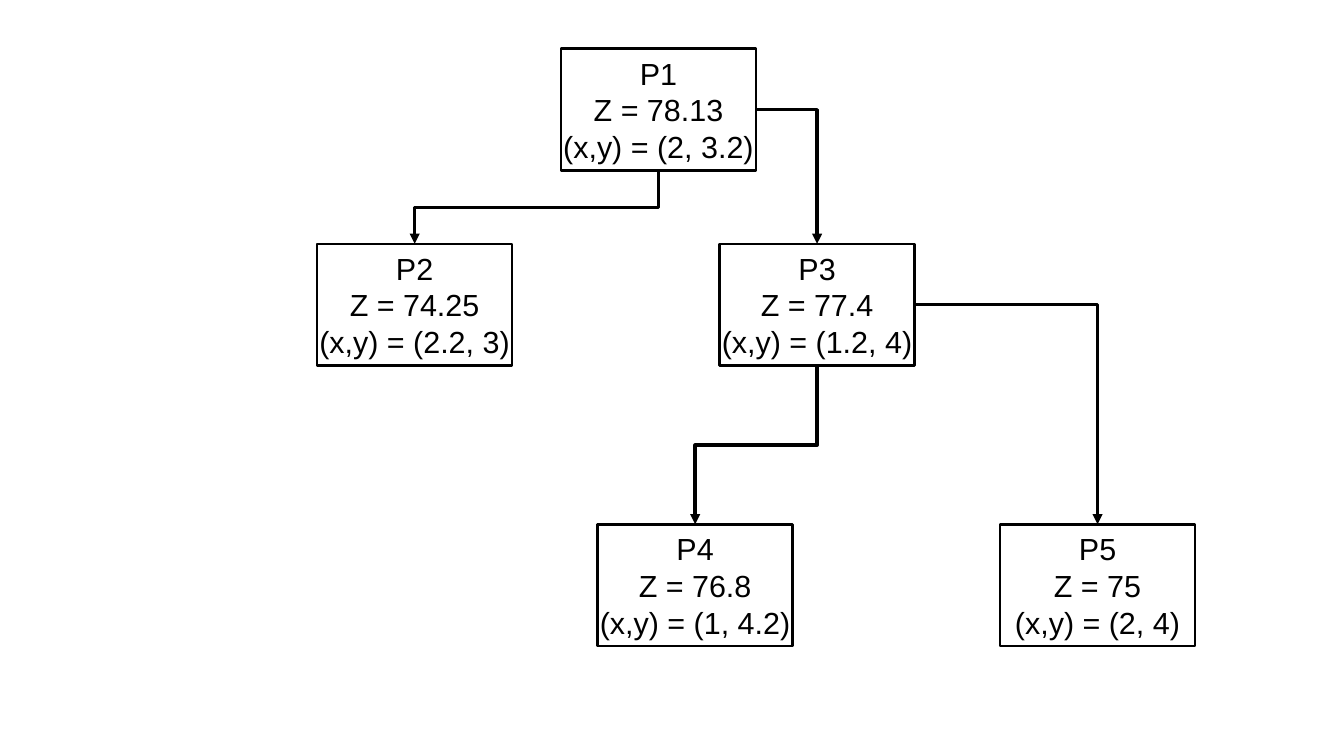
from lxml import etree
from pptx import Presentation
from pptx.dml.color import RGBColor
from pptx.enum.shapes import MSO_CONNECTOR, MSO_SHAPE
from pptx.enum.text import MSO_ANCHOR, PP_ALIGN
from pptx.oxml.ns import qn
from pptx.util import Inches, Pt

ELBOW = MSO_CONNECTOR.ELBOW
RECTANGLE = MSO_SHAPE.RECTANGLE
MIDDLE = MSO_ANCHOR.MIDDLE
CENTER = PP_ALIGN.CENTER
TOP, BOTTOM, RIGHT = 0, 2, 3

COLORS = {"ink": "000000", "paper": "FFFFFF"}
FONT = "Arial"
GRID = Inches(0.1)
BOX_COLUMNS, BOX_ROWS = 16, 10

NODES = {
    "P1": (46, 4, "78.13", "(2, 3.2)"),
    "P2": (26, 20, "74.25", "(2.2, 3)"),
    "P3": (59, 20, "77.4", "(1.2, 4)"),
    "P4": (49, 43, "76.8", "(1, 4.2)"),
    "P5": (82, 43, "75", "(2, 4)"),
}
BRANCHES = [
    ("P1", "P2", BOTTOM),
    ("P1", "P3", RIGHT),
    ("P3", "P4", BOTTOM),
    ("P3", "P5", RIGHT),
]


def color(name):
    return RGBColor.from_string(COLORS[name])


def add_node(page, name, column, row, value, point):
    box = page.shapes.add_shape(
        RECTANGLE, column * GRID, row * GRID, BOX_COLUMNS * GRID, BOX_ROWS * GRID
    )
    box.shadow.inherit = False
    box.fill.solid()
    box.fill.fore_color.rgb = color("paper")
    box.line.color.rgb = color("ink")
    box.line.width = Pt(1.5)
    frame = box.text_frame
    frame.word_wrap = False
    frame.vertical_anchor = MIDDLE
    frame.margin_left = frame.margin_right = Inches(0.11)
    frame.margin_top = frame.margin_bottom = Inches(0.06)
    frame.text = f"{name}\nZ = {value}\n(x,y) = {point}"
    for para in frame.paragraphs:
        para.alignment = CENTER
        for span in para.runs:
            span.font.name = FONT
            span.font.size = Pt(18)
            span.font.color.rgb = color("ink")
    return box


def style_arrow(arrow):
    arrow.line.color.rgb = color("ink")
    arrow.line.width = 0
    outline = arrow.line._get_or_add_ln()
    etree.SubElement(outline, qn("a:tailEnd"), type="triangle")
    etree.SubElement(arrow._element.spPr, qn("a:effectLst"))


def turn_downward(arrow):
    across, down = arrow.width, arrow.height
    arrow.left += (across - down) // 2
    arrow.top += (down - across) // 2
    arrow.width, arrow.height = down, across
    frame = arrow._element.spPr.find(qn("a:xfrm"))
    frame.attrib.pop("flipH", None)
    frame.set("rot", "5400000")


def add_branch(page, parent, child, side):
    if side == BOTTOM:
        start = parent.left + parent.width // 2, parent.top + parent.height
    else:
        start = parent.left + parent.width, parent.top + parent.height // 2
    end = child.left + child.width // 2, child.top
    arrow = page.shapes.add_connector(ELBOW, *start, *end)
    arrow.begin_connect(parent, side)
    arrow.end_connect(child, TOP)
    if side == BOTTOM:
        turn_downward(arrow)
    else:
        outline = arrow._element.spPr.find(qn("a:prstGeom"))
        outline.set("prst", "bentConnector2")
    style_arrow(arrow)


def main():
    deck = Presentation()
    deck.slide_width, deck.slide_height = Inches(11.02), Inches(6.2)
    page = deck.slides.add_slide(deck.slide_layouts[6])
    boxes = {name: add_node(page, name, *node) for name, node in NODES.items()}
    for parent, child, side in BRANCHES:
        add_branch(page, boxes[parent], boxes[child], side)
    deck.save("out.pptx")


if __name__ == "__main__":
    main()
